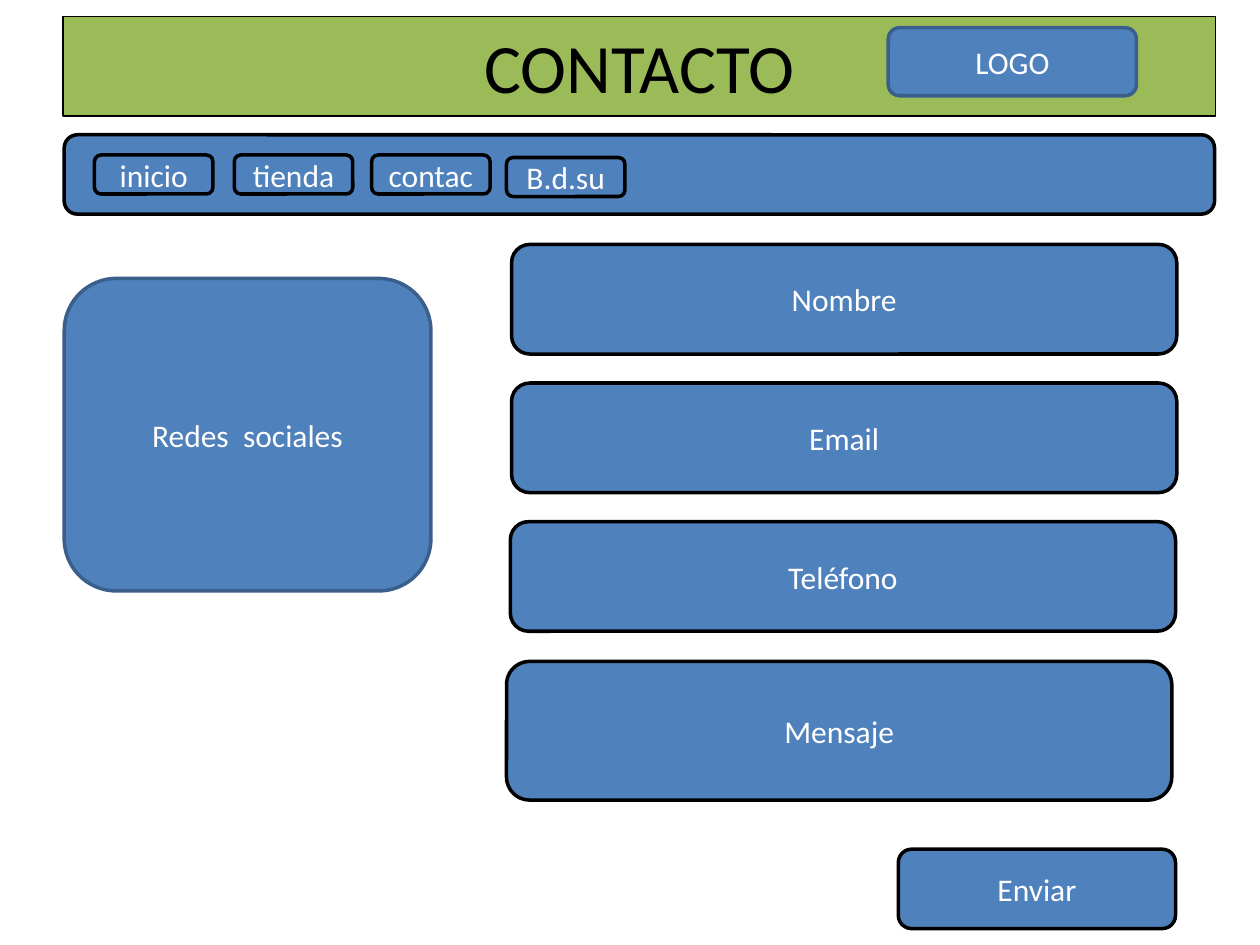
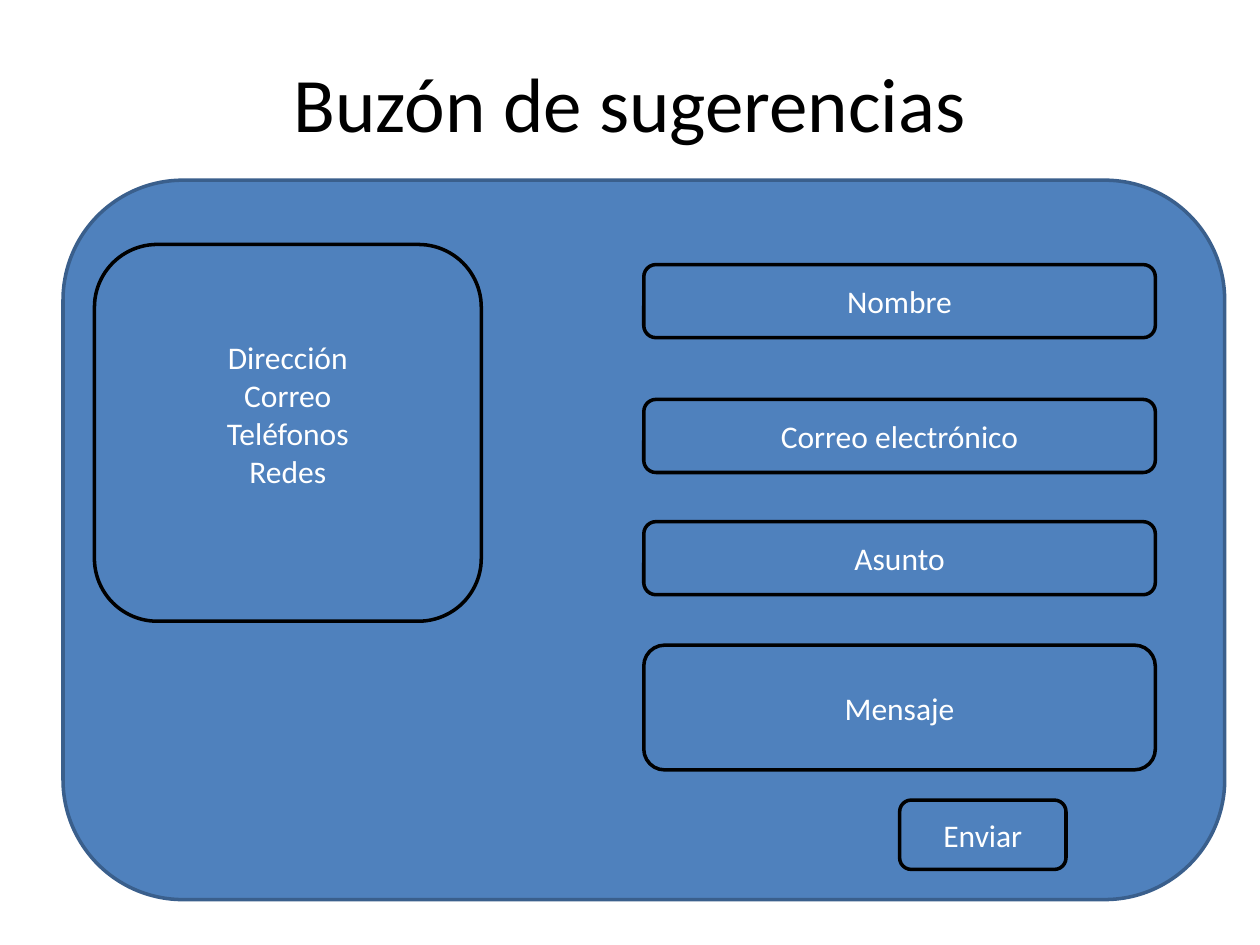
from dataclasses import dataclass
from pptx import Presentation
from pptx.dml.color import RGBColor
from pptx.enum.shapes import MSO_SHAPE
from pptx.enum.text import MSO_ANCHOR, PP_ALIGN
from pptx.slide import Slide
from pptx.text.text import TextFrame
from pptx.util import Inches, Pt

COLORS = {"blue": "4F81BD", "edge": "3A5F8C", "green": "9BBB59",
          "black": "000000", "white": "FFFFFF"}
FONT = "Calibri"
COLS, ROWS = 100, 75  # grid cells across and down the slide

deck = Presentation()
deck.slide_width, deck.slide_height = Inches(10), Inches(7.5)


@dataclass
class Box:
    """A rounded box placed in grid columns and rows."""
    left: float
    top: float
    width: float
    height: float
    lines: tuple[str, ...] = ()
    edge: str = "black"
    lift: float = 0  # extra rows kept free under the text


def color(name: str) -> RGBColor:
    """Return a named colour."""
    return RGBColor.from_string(COLORS[name])


def across(cols: float) -> int:
    """Turn grid columns into a length."""
    return round(deck.slide_width * cols / COLS)


def down(rows: float) -> int:
    """Turn grid rows into a length."""
    return round(deck.slide_height * rows / ROWS)


def place(shape, left: float, top: float, width: float, height: float) -> None:
    """Move and size a shape on the grid."""
    shape.left, shape.top = across(left), down(top)
    shape.width, shape.height = across(width), down(height)


def write(frame: TextFrame, lines: tuple[str, ...], size: float, ink: str) -> None:
    """Write centred lines, one run in each paragraph."""
    frame.word_wrap = True
    frame.vertical_anchor = MSO_ANCHOR.MIDDLE
    for i, line in enumerate(lines):
        para = frame.add_paragraph() if i else frame.paragraphs[0]
        para.alignment = PP_ALIGN.CENTER
        run = para.add_run()
        run.text = line
        run.font.name, run.font.size = FONT, Pt(size)
        run.font.color.rgb = color(ink)


def paint(shape, fill: str, edge: str, width: float) -> None:
    """Set the fill and outline of a shape."""
    shape.fill.solid()
    shape.fill.fore_color.rgb = color(fill)
    shape.line.color.rgb = color(edge)
    shape.line.width = Pt(width)


def start(text: str, size: float, top: float, width: float, height: float):
    """Add a slide with its title; return both."""
    slide = deck.slides.add_slide(deck.slide_layouts[5])
    title = slide.shapes.title
    place(title, 5, top, width, height)
    write(title.text_frame, (text,), size, "black")
    return slide, title


def draw(slide: Slide, boxes: list[Box]) -> None:
    """Draw boxes from back to front."""
    for box in boxes:
        shape = slide.shapes.add_shape(MSO_SHAPE.ROUNDED_RECTANGLE, 0, 0, 0, 0)
        place(shape, box.left, box.top, box.width, box.height)
        shape.shadow.inherit = False
        paint(shape, "blue", box.edge, 2)
        if box.lines:
            write(shape.text_frame, box.lines, 18, "white")
            shape.text_frame.margin_bottom += down(box.lift)


# Contact page
contact, banner = start("CONTACTO", 39.6, 1.3, 91.5, 7.9)
paint(banner, "green", "black", 0.75)
fields = [Box(left, 19.4 + 11 * i, 52.8, 8.7, (name,)) for i, (left, name)
          in enumerate([(40.6, "Nombre"), (40.6, "Email"), (40.5, "Teléfono")])]
tabs = [Box(left, top, 9.4, 3.1, (name,)) for left, top, name in [
    (7.5, 12.3, "inicio"), (18.6, 12.3, "tienda"),
    (29.5, 12.3, "contac"), (40.2, 12.5, "B.d.su")]]
draw(contact, fields + [
    Box(40.2, 52.5, 52.8, 11, ("Mensaje",)),
    Box(71.3, 67.4, 22, 6.3, ("Enviar",)),
    Box(5.1, 22.1, 29.1, 24.8, ("Redes  sociales",), "edge"),
    Box(5.1, 10.7, 91.3, 6.3),
    Box(70.5, 2.2, 19.7, 5.4, ("LOGO",), "edge")] + tabs)

# Suggestion box page
advice, _ = start("Buzón de sugerencias", 44, 1.8, 90, 12.5)
fields = [Box(51.1, top, 40.6, 5.8, (name,)) for top, name in [
    (21, "Nombre"), (31.7, "Correo electrónico"), (41.4, "Asunto")]]
draw(advice, [
    Box(5, 14.3, 92.2, 57.1, edge="edge"),
    Box(7.5, 19.4, 30.7, 29.9,
        ("Dirección", "Correo", "Teléfonos", "Redes"), lift=3)] + fields + [
    Box(51.1, 51.2, 40.6, 9.9, ("Mensaje",)),
    Box(71.4, 63.5, 13.2, 5.5, ("Enviar",))])

deck.save("out.pptx")
